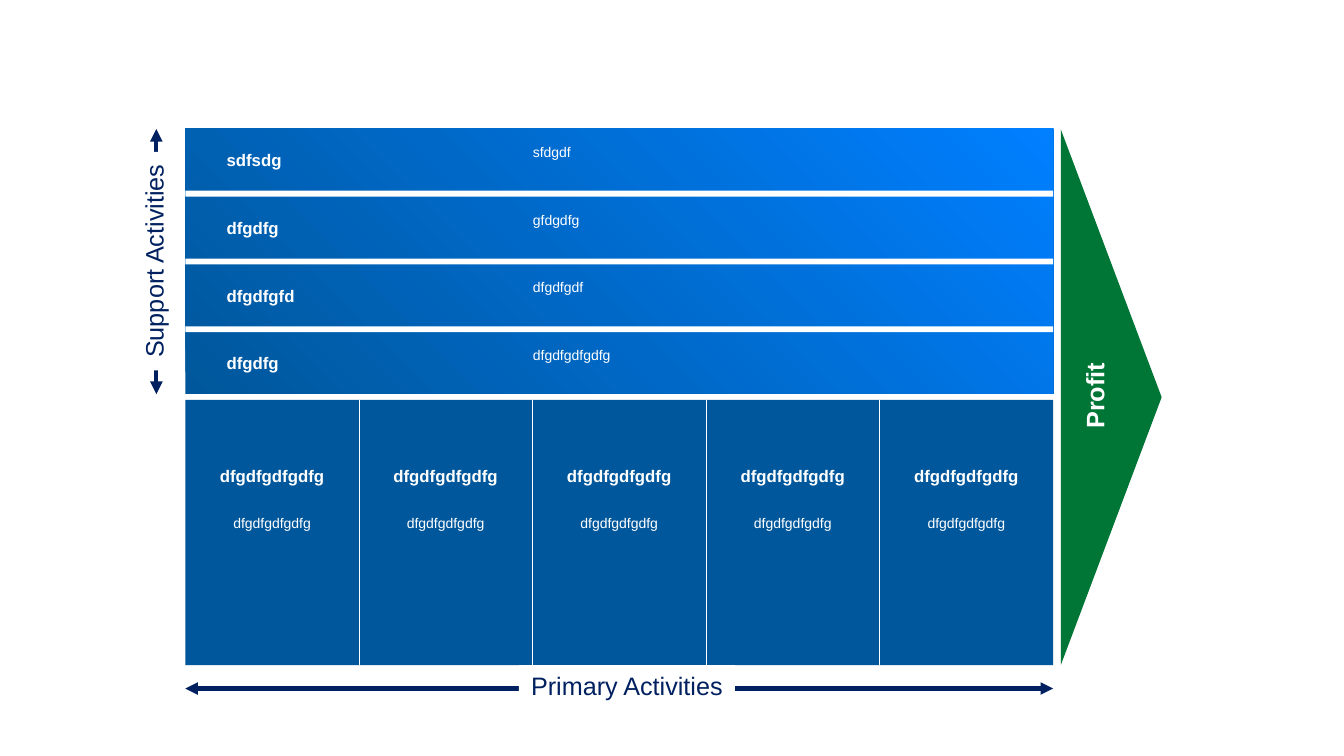
from lxml.etree import SubElement
from pptx import Presentation
from pptx.dml.color import RGBColor
from pptx.enum.shapes import MSO_CONNECTOR, MSO_SHAPE
from pptx.enum.text import MSO_ANCHOR, PP_ALIGN
from pptx.oxml.ns import qn
from pptx.util import Cm, Pt

WHITE, NAVY, BLUE, BRIGHT, GREEN = "FFFFFF", "002060", "00579B", "007FFF", "007636"

prs = Presentation()
prs.slide_width, prs.slide_height = Cm(33.87), Cm(19.05)
slide = prs.slides.add_slide(prs.slide_layouts[6])
shapes = slide.shapes


def block(kind, left, top, width, height, color, rotation=0):
    shape = shapes.add_shape(kind, Cm(left), Cm(top), Cm(width), Cm(height))
    shape.shadow.inherit = False
    shape.fill.solid()
    shape.fill.fore_color.rgb = RGBColor.from_string(color)
    shape.line.fill.background()
    shape.rotation = rotation
    return shape


def write(shape, text, size, color=WHITE, bold=False, align=PP_ALIGN.LEFT, wrap=True):
    frame = shape.text_frame
    frame.word_wrap = wrap
    frame.vertical_anchor = MSO_ANCHOR.TOP
    paragraph = frame.paragraphs[0]
    paragraph.alignment = align
    run = paragraph.add_run()
    run.text = text
    run.font.name, run.font.size, run.font.bold = "Arial", Pt(size), bold
    run.font.color.rgb = RGBColor.from_string(color)


# Value chain grid
left, width, half_height = 4.67, 21.87, 6.68
support_top, primary_top = 3.25, 10.08
right, bottom = left + width, primary_top + half_height
gap = 0.15
row_pitch = (half_height + gap) / 4
column_width = width / 5

# Double-headed arrows, then support bars, primary block and column dividers
support_arrow = (3.94, support_top, 3.94, support_top + half_height)
primary_arrow = (left, 17.35, right, 17.35)
dividers = [(left + i * column_width, primary_top, left + i * column_width, bottom)
            for i in range(1, 5)]

support = block(MSO_SHAPE.RECTANGLE, left, support_top, width, half_height, BLUE)
support.fill.gradient()
support.fill.gradient_angle = 45
for stop, color, position in zip(support.fill.gradient_stops, (BLUE, BRIGHT), (0, 1)):
    stop.color.rgb = RGBColor.from_string(color)
    stop.position = position
for i in range(1, 4):
    block(MSO_SHAPE.RECTANGLE, left, support_top + i * row_pitch - gap, width, gap, WHITE)
block(MSO_SHAPE.RECTANGLE, left, primary_top, width, half_height, BLUE)

for ends in [support_arrow, primary_arrow] + dividers:
    line = shapes.add_connector(MSO_CONNECTOR.STRAIGHT, *map(Cm, ends))
    is_divider = ends in dividers
    line.line.color.rgb = RGBColor.from_string(WHITE if is_divider else NAVY)
    line.line.width = Pt(0.5 if is_divider else 3)
    properties = line._element.spPr
    if not is_divider:
        for end in ("a:headEnd", "a:tailEnd"):
            SubElement(properties.find(qn("a:ln")), qn(end), type="triangle")
    SubElement(properties, qn("a:effectLst"))

# Profit arrowhead
block(MSO_SHAPE.ISOSCELES_TRIANGLE, 21.26, 8.74, 13.49, 2.54, GREEN, 90)

# Support activities
support_rows = [("sdfsdg", "sfdgdf"), ("dfgdfg", "gfdgdfg"),
                ("dfgdfgfd", "dfgdfgdf"), ("dfgdfg", "dfgdfgdfgdfg")]
for i, (name, detail) in enumerate(support_rows):
    row_top = support_top + i * row_pitch
    name_box = shapes.add_textbox(Cm(5.46), Cm(row_top + 0.4), Cm(6.99), Cm(0.76))
    write(name_box, name, 12, bold=True)
    detail_box = shapes.add_textbox(Cm(13.18), Cm(row_top + 0.24), Cm(12.17), Cm(0.69))
    write(detail_box, detail, 10)

# Primary activities
primary_columns = [("dfgdfgdfgdfg", "dfgdfgdfgdfg")] * 5
for i, (name, detail) in enumerate(primary_columns):
    column_left = left + i * column_width
    name_box = shapes.add_textbox(Cm(column_left), Cm(11.61), Cm(column_width), Cm(0.76))
    write(name_box, name, 12, bold=True, align=PP_ALIGN.CENTER)
    detail_box = shapes.add_textbox(Cm(column_left), Cm(12.85), Cm(column_width), Cm(0.69))
    write(detail_box, detail, 10, align=PP_ALIGN.CENTER)

# Axis labels
primary_label = block(MSO_SHAPE.RECTANGLE, 13.08, bottom, 5.44, 1.02, WHITE)
write(primary_label, "Primary Activities", 18, NAVY, align=PP_ALIGN.CENTER, wrap=False)
support_label = block(MSO_SHAPE.RECTANGLE, 1.12, 6.07, 5.51, 1.02, WHITE, 270)
write(support_label, "Support Activities", 18, NAVY, align=PP_ALIGN.CENTER, wrap=False)

profit_label = shapes.add_textbox(Cm(26.49), Cm(9.45), Cm(2.18), Cm(1.02))
profit_label.rotation = 270
write(profit_label, "Profit", 18, bold=True, wrap=False)

prs.save("out.pptx")
